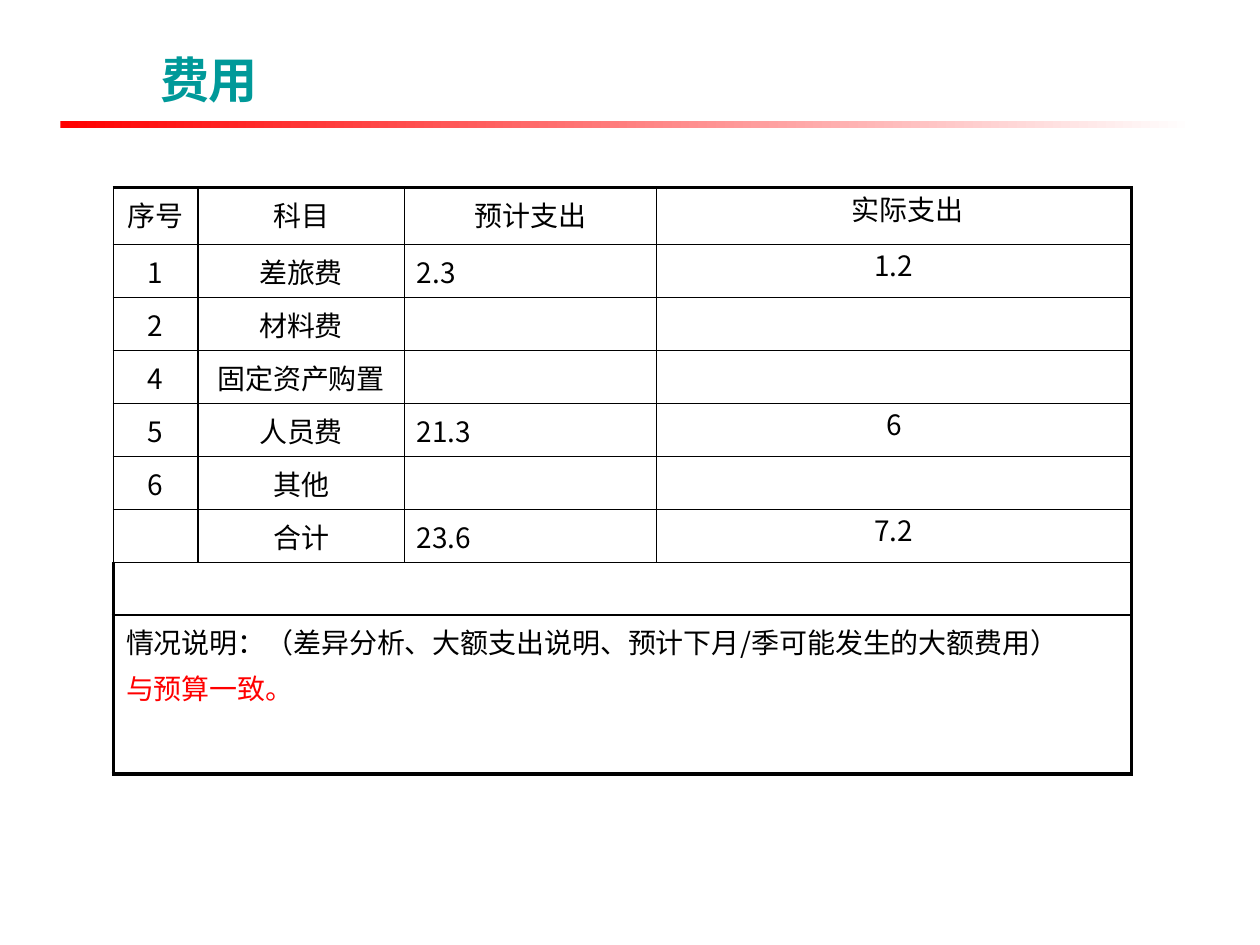
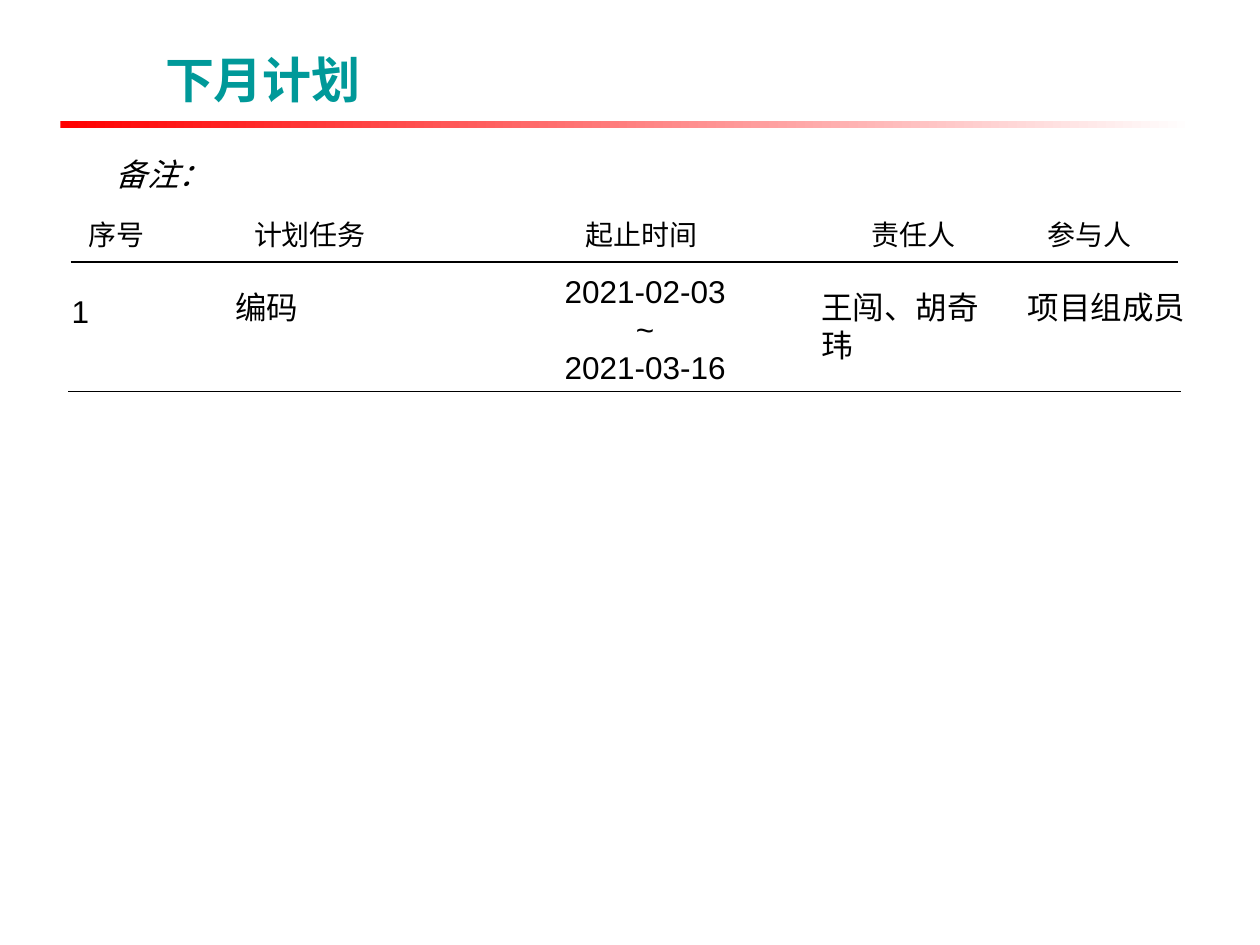
import pptx
import pptx.util
import pptx.dml.color
import pptx.enum.text
import pptx.enum.shapes
import pptx.oxml
import pptx.oxml.ns

WIDE, HIGH = 1000, 750  # grid columns and rows on a slide
INK, TEAL, RED, WHITE = "000000", "009999", "FF0000", "FFFFFF"
SANS, CJK = "Arial", "Noto Sans CJK SC"
THIN, THICK = 1, 2.25
PAD = (10, 5, 10, 5)
HANG = 42
ALIGN = pptx.enum.text.PP_ALIGN
ANCHOR = pptx.enum.text.MSO_ANCHOR
FIT = pptx.enum.text.MSO_AUTO_SIZE

COSTS = [
    ("序号", "科目", "预计支出", "\u3000实际支出"),
    ("1", "差旅费", "2.3", "1.2"),
    ("2", "材料费", "", ""),
    ("4", "固定资产购置", "", ""),
    ("5", "人员费", "21.3", "6"),
    ("6", "其他", "", ""),
    ("", "合计", "23.6", "7.2"),
]
NOTES = ["情况说明:（差异分析、大额支出说明、预计下月/季可能发生的大额费用）".replace(":", "："),
         "与预算一致。"]
HEADS = ["序号", "计划任务", "起止时间", "责任人", "参与人"]


def grid(count):
    """Turn grid columns or rows into a length."""
    return pptx.util.Inches(count / 100)


def tint(code):
    """Turn a hex string into a colour."""
    return pptx.dml.color.RGBColor.from_string(code)


def apply(item, values):
    """Set every attribute of the dict on the item."""
    for name, value in values.items():
        setattr(item, name, value)


def place(shape, box):
    """Put a shape in a grid box."""
    apply(shape, dict(zip(("left", "top", "width", "height"), map(grid, box))))


def write(frame, lines, size=16, font=SANS, color=INK, align=ALIGN.LEFT,
          gap=0.2, hang=0, **style):
    """Fill a text frame with one paragraph for each line."""
    for index, line in enumerate(lines):
        para = frame.paragraphs[0] if index == 0 else frame.add_paragraph()
        apply(para, {"alignment": align, "space_before": pptx.util.Pt(size * gap)})
        if hang:
            props = para._p.get_or_add_pPr()
            props.set("marL", str(grid(hang)))
            props.set("indent", str(-grid(hang)))
        run = para.add_run()
        run.text = line
        apply(run.font, {"size": pptx.util.Pt(size), "name": font, **style})
        run.font.color.rgb = tint(color)
        if font == CJK:
            east = pptx.oxml.parse_xml(
                f'<a:ea {pptx.oxml.ns.nsdecls("a")} typeface="{font}"/>')
            run.font._element.find(pptx.oxml.ns.qn("a:latin")).addnext(east)


def inset(cell, pad):
    """Set the cell margins from left, top, right and bottom."""
    sides = ("margin_left", "margin_top", "margin_right", "margin_bottom")
    apply(cell, dict(zip(sides, map(grid, pad))))


def edge(cell, **widths):
    """Draw the borders L, R, T and B; a side not named is empty."""
    props = cell._tc.get_or_add_tcPr()
    for side in "LRTB":
        width = widths.get(side, 0)
        paint = (f'<a:solidFill><a:srgbClr val="{INK}"/></a:solidFill>'
                 if width else "<a:noFill/>")
        props.append(pptx.oxml.parse_xml(
            f'<a:ln{side} {pptx.oxml.ns.nsdecls("a")} '
            f'w="{pptx.util.Pt(width)}">{paint}</a:ln{side}>'))
    cell.fill.background()


def chart(slide, left, top, cols, rows):
    """Add a plain table with the given columns and rows."""
    box = map(grid, (left, top, sum(cols), sum(rows)))
    table = slide.shapes.add_table(len(rows), len(cols), *box).table
    apply(table, {"first_row": False, "horz_banding": False})
    for col, width in zip(table.columns, cols):
        col.width = grid(width)
    for row, height in zip(table.rows, rows):
        row.height = grid(height)
    return table


def band(deck, slide, box):
    """Put the fading red band on the master."""
    bar = slide.shapes.add_shape(
        pptx.enum.shapes.MSO_SHAPE.RECTANGLE, *map(grid, box))
    bar.shadow.inherit = False
    bar.line.fill.background()
    bar.fill.gradient()
    bar.fill.gradient_angle = 0
    for stop, code, spot in zip(bar.fill.gradient_stops, (RED, WHITE), (0, 1)):
        stop.color.rgb = tint(code)
        stop.position = spot
    deck.slide_master.shapes.element.append(bar.element)


def page(deck, title, left):
    """Add a slide with its title."""
    slide = deck.slides.add_slide(deck.slide_layouts[5])
    head = slide.shapes.title
    place(head, (left, 28, 835, 63))
    apply(head.text_frame, {"vertical_anchor": ANCHOR.BOTTOM,
                            "auto_size": FIT.NONE, "word_wrap": True})
    write(head.text_frame, [title], size=28, color=TEAL, bold=True, gap=0)
    return slide


def costs(slide, left, top):
    """Place the cost table with its notes row."""
    rows = [45] + [42] * 7 + [126]
    table = chart(slide, left, top, (67, 164, 200, 377), rows)
    last, wide = len(rows) - 1, len(COSTS)
    for row in range(wide, len(rows)):
        table.cell(row, 0).merge(table.cell(row, 3))
    for row in range(len(rows)):
        for col in range(4):
            cell, full = table.cell(row, col), row >= wide
            ends = {"T": THIN if row else THICK,
                    "B": THICK if row == last else THIN}
            if not cell.is_spanned:
                ends["L"] = THICK if full else THIN
            if col == 3 or not cell.is_spanned:
                ends["R"] = THICK if full or col == 3 else THIN
            edge(cell, **ends)
            inset(cell, (0,) * 4 if col == 3 and not full else PAD)
    for row, texts in enumerate(COSTS):
        for col, text in enumerate(texts):
            if text:
                side = ALIGN.LEFT if col == 2 and row else ALIGN.CENTER
                write(table.cell(row, col).text_frame, [text], font=CJK,
                      align=side, hang=HANG if col < 2 else 0)
    frame = table.cell(last, 0).text_frame
    write(frame, NOTES, font=CJK, hang=HANG)
    frame.paragraphs[1].runs[0].font.color.rgb = tint(RED)


def heads(slide, left, top):
    """Place the heading row of the plan."""
    table = chart(slide, left, top, (73, 234, 292, 140, 140), [44])
    for col, text in enumerate(HEADS):
        cell = table.cell(0, col)
        edge(cell, B=THIN)
        inset(cell, PAD)
        write(cell.text_frame, [text], font=CJK, align=ALIGN.CENTER,
              hang=0 if col else HANG)


def label(slide, box, lines, wrap=True, **style):
    """Place a text box that grows with its text."""
    frame = slide.shapes.add_textbox(*map(grid, box)).text_frame
    apply(frame, {"word_wrap": wrap, "auto_size": FIT.SHAPE_TO_FIT_TEXT})
    write(frame, lines, size=18, **style)


def task(slide, left, top):
    """Place one planned task and the rule below it."""
    cells = [
        (0, 16, 66, 40, ["1"], {"gap": 0}),
        (130, 13, 144, 40, ["编码"], {"font": CJK}),
        (353, 0, 224, 101, ["2021-02-03", "~", "2021-03-16"],
         {"gap": 0, "align": ALIGN.CENTER}),
        (595, 13, 160, 40, ["王闯、胡奇玮"], {}),
        (759, 13, 145, 40, ["项目组成员"], {"gap": 0}),
    ]
    for across, down, width, height, lines, style in cells:
        label(slide, (left + across, top + down, width, height), lines, **style)
    ends = (left + 7, top + 100, left + 890, top + 100)
    rule = slide.shapes.add_connector(
        pptx.enum.shapes.MSO_CONNECTOR.STRAIGHT, *map(grid, ends))
    rule.line.color.rgb = tint(INK)
    rule.line.width = pptx.util.Pt(0.75)
    rule.element.spPr.append(pptx.oxml.parse_xml(
        f'<a:effectLst {pptx.oxml.ns.nsdecls("a")}/>'))


def main():
    """Build the cost slide and the plan slide."""
    deck = pptx.Presentation()
    apply(deck, {"slide_width": grid(WIDE), "slide_height": grid(HIGH)})
    cost = page(deck, "费用", 117)
    band(deck, cost, (48, 96, 900, 6))
    costs(cost, 90, 149)
    plan = page(deck, "下月计划", 121)
    label(plan, (82, 118, 95, 40), ["备注："], wrap=False, italic=True)
    heads(plan, 56, 164)
    task(plan, 47, 211)
    deck.save("out.pptx")


main()
